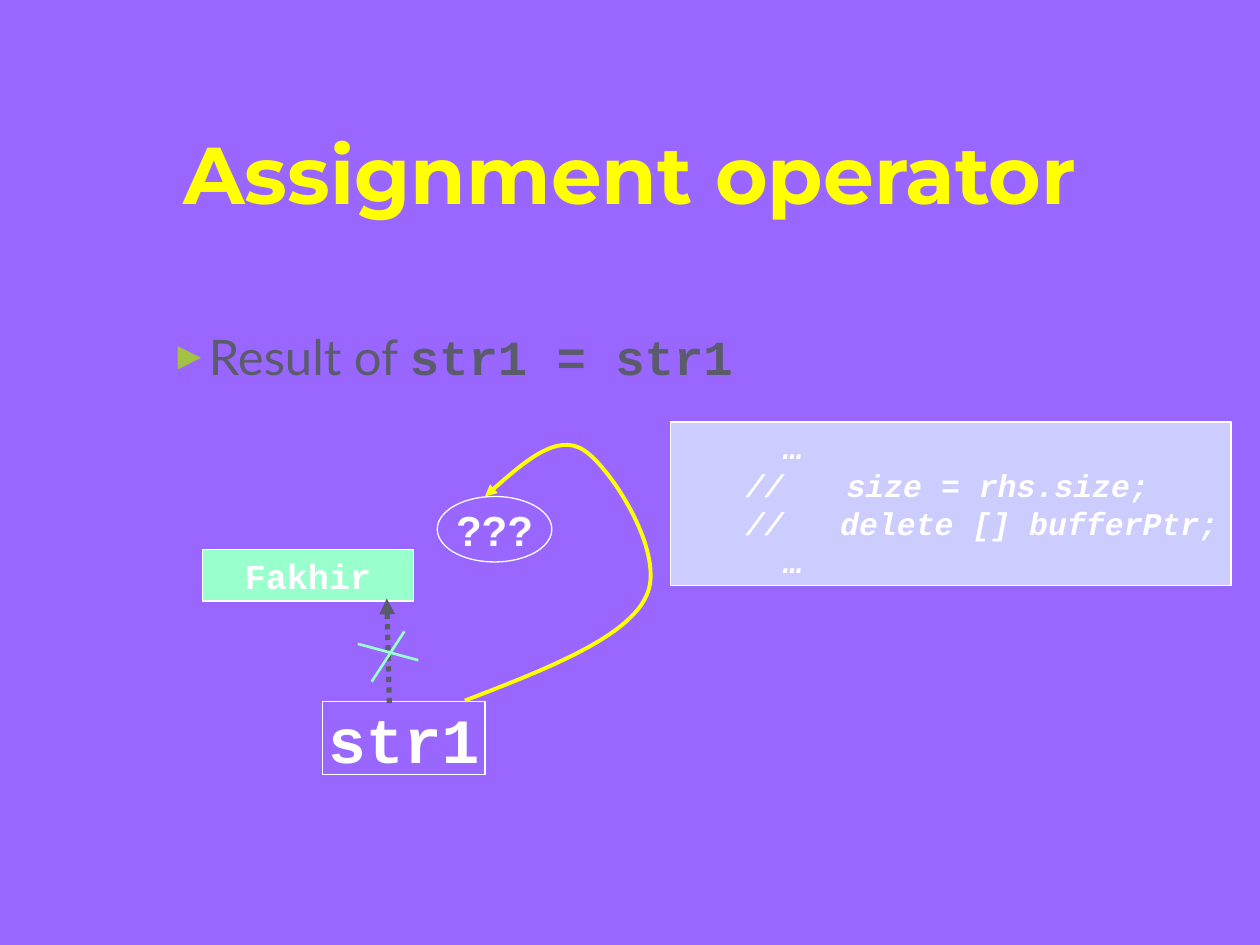
"""Build the slide on the result of self-assignment in a string class."""
from lxml import etree
from pptx import Presentation
from pptx.dml.color import RGBColor
from pptx.enum.dml import MSO_LINE
from pptx.enum.shapes import MSO_CONNECTOR, MSO_SHAPE
from pptx.enum.text import MSO_ANCHOR, MSO_AUTO_SIZE, PP_ALIGN
from pptx.oxml.ns import qn
from pptx.util import Inches, Pt

RECTANGLE, OVAL = MSO_SHAPE.RECTANGLE, MSO_SHAPE.OVAL
STRAIGHT, DOTTED = MSO_CONNECTOR.STRAIGHT, MSO_LINE.ROUND_DOT
CENTER, LEFT = PP_ALIGN.CENTER, PP_ALIGN.LEFT
MIDDLE, TOP = MSO_ANCHOR.MIDDLE, MSO_ANCHOR.TOP
NO_AUTOFIT = MSO_AUTO_SIZE.NONE

PURPLE = RGBColor(0x99, 0x66, 0xFF)
LAVENDER = RGBColor(0xCC, 0xCC, 0xFF)
MINT = RGBColor(0x99, 0xFF, 0xCC)
YELLOW = RGBColor(0xFF, 0xFF, 0x00)
WHITE = RGBColor(0xFF, 0xFF, 0xFF)
GREY = RGBColor(0x5A, 0x5C, 0x6C)
BULLET_GREEN = "A3C145"
MONO = "Courier New"

TITLE = "Assignment operator"
TITLE_AREA = (0.75, 0.56, 8.5, 1.61)
BULLET_AREA = (1.25, 2.54, 7.75, 3.87)
BULLET_SPANS = [("Result of ", "Lato", False), ("str1 = str1", MONO, True)]
BULLET_INDENT = 0.27

CODE = ["  …", "//\t  size = rhs.size;", "//   delete [] bufferPtr;", "  …"]
CODE_AREA = (5.32, 3.35, 4.45, 1.3)
CODE_INDENT = 0.5
CODE_TABS = range(8)

NODES = [
    ("???", OVAL, (3.47, 3.94, 0.91, 0.52), PURPLE, "Arial", 24),
    ("str1", RECTANGLE, (2.56, 5.57, 1.29, 0.58), PURPLE, MONO, 36),
    ("Fakhir", RECTANGLE, (1.61, 4.36, 1.67, 0.41), MINT, MONO, 20),
]
OLD_POINTER = ((3.09, 5.58), (3.07, 4.75))
CROSS = [((3.21, 5.01), (2.95, 5.41)), ((2.84, 5.11), (3.32, 5.24))]
NEW_POINTER = [
    (3.69, 5.56),
    (4.34, 5.31), (4.98, 5.06), (5.13, 4.73),
    (5.29, 4.4), (4.85, 3.71), (4.63, 3.57),
    (4.42, 3.44), (4.13, 3.69), (3.85, 3.94),
]


def inches(values):
    return [Inches(value) for value in values]


def apply_format(target, **values):
    for name, value in values.items():
        setattr(target, name, value)


def style_font(font, color, **values):
    apply_format(font, **values)
    font.color.rgb = color


def place(shape, area):
    apply_format(shape, **dict(zip(("left", "top", "width", "height"), inches(area))))


def add_child(parent, tag, **attributes):
    return etree.SubElement(parent, qn(tag), attributes)


def style_line(line, color, width, arrow=False):
    line.color.rgb = color
    line.width = Pt(width)
    if arrow:
        add_child(line._get_or_add_ln(), "a:tailEnd", type="triangle")


def add_box(slide, kind, area, fill, lines, anchor, align):
    box = slide.shapes.add_shape(kind, *inches(area))
    box.shadow.inherit = False
    box.fill.solid()
    box.fill.fore_color.rgb = fill
    style_line(box.line, WHITE, 0.75)
    frame = box.text_frame
    apply_format(frame, word_wrap=False, vertical_anchor=anchor)
    frame.text = "\n".join(lines)
    for para in frame.paragraphs:
        para.alignment = align
    return box


def add_code(slide):
    box = add_box(slide, RECTANGLE, CODE_AREA, LAVENDER, CODE, TOP, LEFT)
    for para in box.text_frame.paragraphs:
        para.line_spacing = Pt(21.6)
        properties = para._p.get_or_add_pPr()
        properties.set("marL", str(Inches(CODE_INDENT)))
        properties.set("indent", "0")
        tabs = add_child(properties, "a:tabLst")
        for stop in CODE_TABS:
            add_child(tabs, "a:tab", pos=str(Inches(stop)), algn="l")
        style_font(para.font, WHITE, name=MONO, size=Pt(18), bold=True, italic=True)


def add_title(slide):
    title = slide.shapes.title
    place(title, TITLE_AREA)
    frame = title.text_frame
    apply_format(frame, text=TITLE, vertical_anchor=MIDDLE, auto_size=NO_AUTOFIT)
    para = frame.paragraphs[0]
    para.alignment = CENTER
    style_font(para.font, YELLOW, name="Montserrat", size=Pt(46), bold=True)


def add_bullet(slide):
    body = slide.placeholders[1]
    place(body, BULLET_AREA)
    body.text_frame.auto_size = NO_AUTOFIT
    para = body.text_frame.paragraphs[0]
    para.space_before = Pt(0)
    properties = para._p.get_or_add_pPr()
    properties.set("marL", str(Inches(BULLET_INDENT)))
    properties.set("indent", str(-Inches(BULLET_INDENT)))
    add_child(add_child(properties, "a:buClr"), "a:srgbClr", val=BULLET_GREEN)
    add_child(properties, "a:buSzPct", val="80000")
    add_child(properties, "a:buFont", typeface="Arial")
    add_child(properties, "a:buChar", char="►")
    for text, font_name, bold in BULLET_SPANS:
        span = para.add_run()
        span.text = text
        style_font(span.font, GREY, name=font_name, size=Pt(28), bold=bold)


def add_line(slide, ends, color, width, arrow=False, dash=None):
    start, end = ends
    line = slide.shapes.add_connector(STRAIGHT, *inches(start + end))
    line.line.dash_style = dash
    style_line(line.line, color, width, arrow)
    add_child(line._element.spPr, "a:effectLst")


def add_curve(slide, points):
    start, *rest = [inches(point) for point in points]
    builder = slide.shapes.build_freeform(*start)
    builder.add_line_segments(rest, close=False)
    curve = builder.convert_to_shape()
    curve.shadow.inherit = False
    curve.fill.background()
    style_line(curve.line, YELLOW, 2.25, arrow=True)
    outline = next(curve._element.iter(qn("a:path")))
    segments = outline.findall(qn("a:lnTo"))
    for first in range(0, len(segments), 3):
        bezier = add_child(outline, "a:cubicBezTo")
        for segment in segments[first:first + 3]:
            bezier.append(segment[0])
            outline.remove(segment)


def main():
    deck = Presentation()
    apply_format(deck, slide_width=Inches(10), slide_height=Inches(7.5))
    slide = deck.slides.add_slide(deck.slide_layouts[1])
    slide.background.fill.solid()
    slide.background.fill.fore_color.rgb = PURPLE
    add_title(slide)
    add_bullet(slide)
    add_code(slide)
    for text, kind, area, fill, font_name, size in NODES:
        node = add_box(slide, kind, area, fill, [text], MIDDLE, CENTER)
        font = node.text_frame.paragraphs[0].font
        style_font(font, WHITE, name=font_name, size=Pt(size), bold=True)
    add_line(slide, OLD_POINTER, GREY, 3, arrow=True, dash=DOTTED)
    for stroke in CROSS:
        add_line(slide, stroke, MINT, 1.5)
    add_curve(slide, NEW_POINTER)
    deck.save("out.pptx")


if __name__ == "__main__":
    main()
